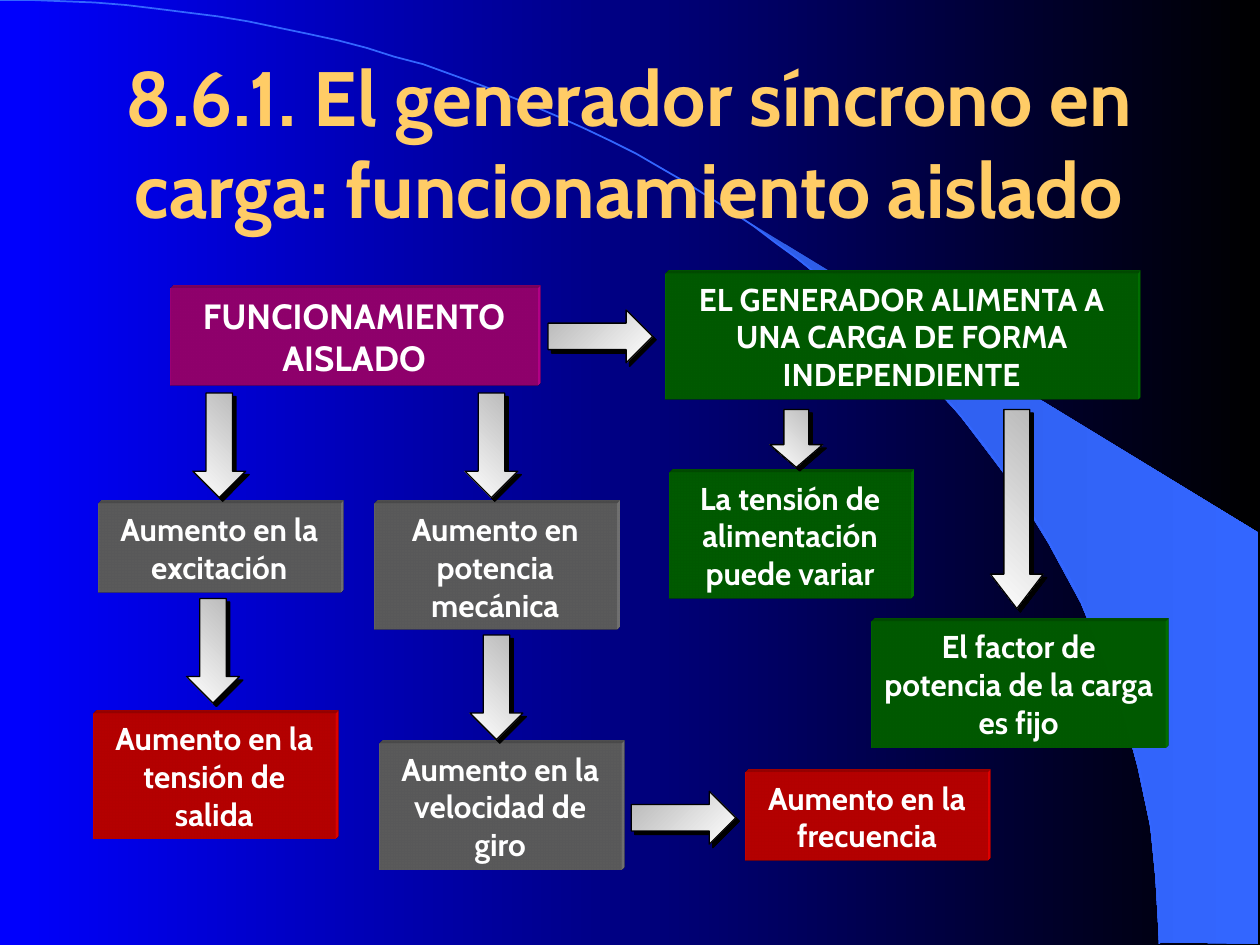
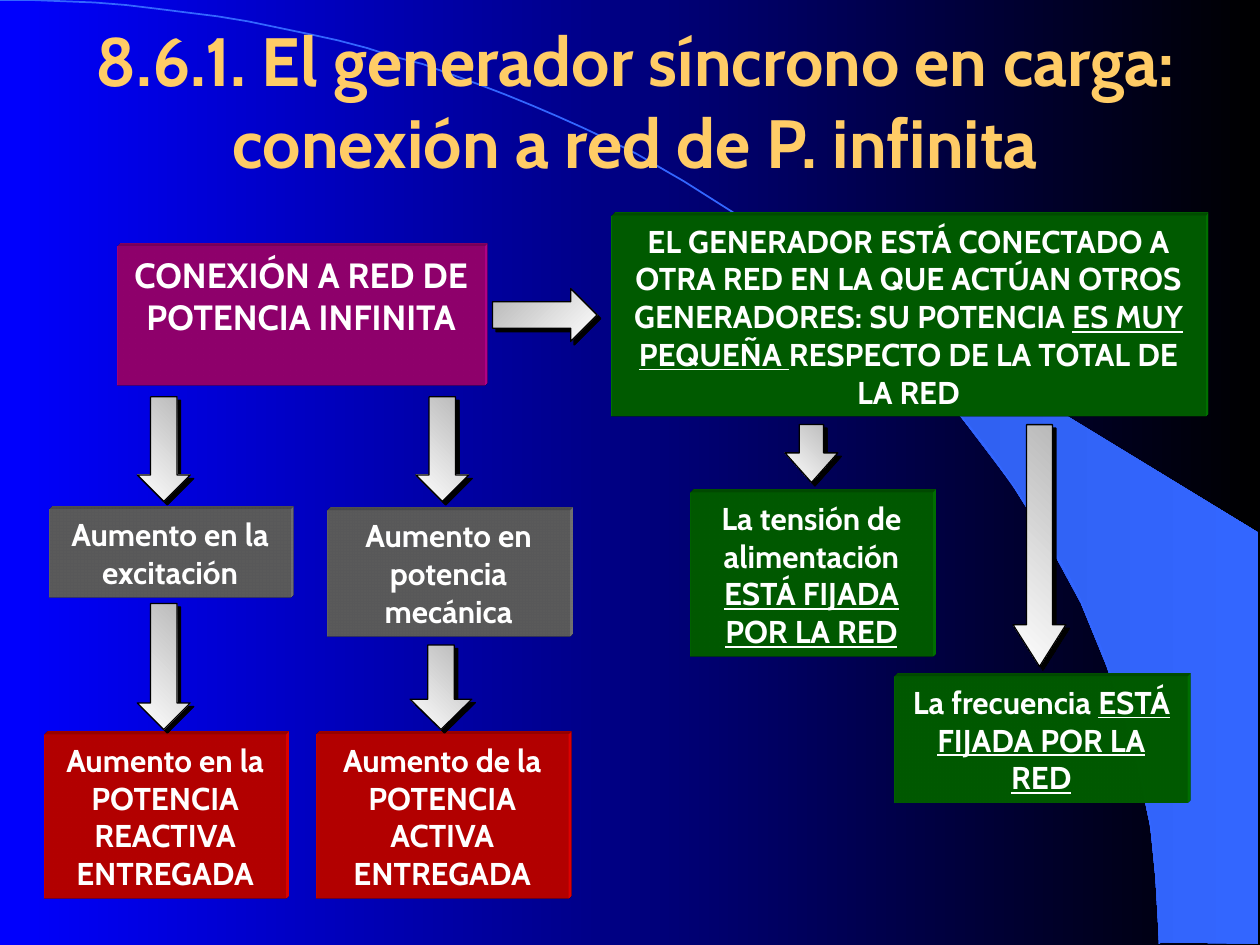
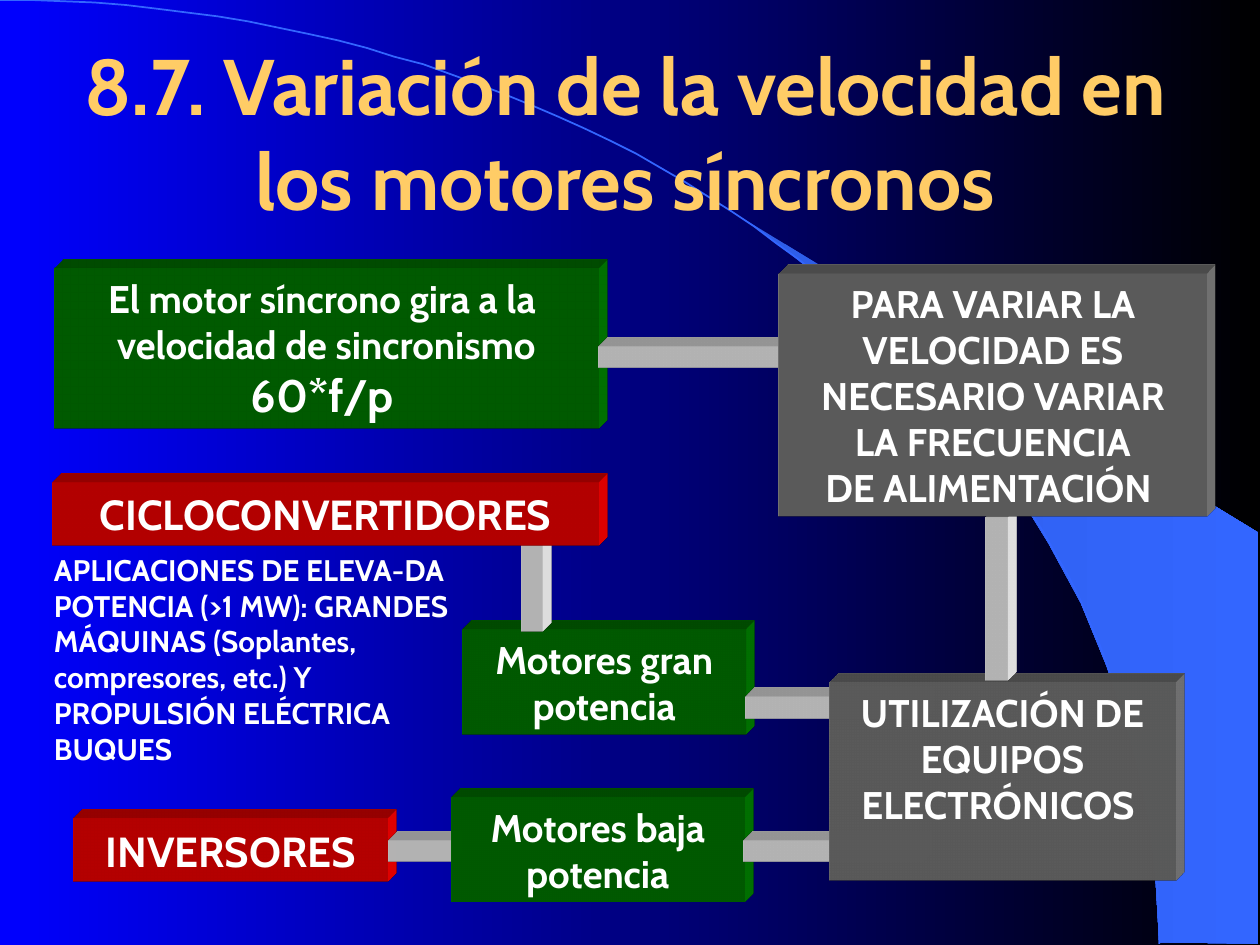
from dataclasses import dataclass

from lxml.etree import SubElement
from pptx import Presentation
from pptx.dml.color import RGBColor
from pptx.enum.shapes import MSO_SHAPE
from pptx.enum.text import MSO_ANCHOR, PP_ALIGN
from pptx.oxml import parse_xml
from pptx.oxml.ns import nsdecls, qn
from pptx.util import Pt

PX = 9144
WIDTH, HEIGHT = 1000, 750


@dataclass(frozen=True)
class Theme:
    """Colours, type sizes and depths shared by the slides."""
    font: str = "Cabin"
    title: str = "FFCC66"
    text: str = "FFFFFF"
    sky: tuple = ("0000FF", "000000")
    band: tuple = ("2E5DE7", "3366FF")
    metal: tuple = ("B6B6B6", "FFFFFF")
    outline: str = "000000"
    topic: str = "CC0099"
    premise: str = "008000"
    step: str = "808080"
    result: str = "FF0000"
    bar: str = "FFFFFF"
    body_size: int = 18
    topic_size: int = 20
    note_size: int = 17
    block_size: int = 22
    family_size: int = 24
    formula_size: int = 26
    thin: int = 61000
    thick: int = 184000


THEME = Theme()
UNDERLINED = {"underline": True}
BAND_EDGE = [(920, 748), (999, 749), (999, 423), (589, 173), (624, 199), (653, 222),
             (685, 250), (716, 280), (762, 330), (803, 384), (832, 431), (858, 479),
             (878, 528), (893, 572), (903, 609), (913, 656), (917, 696)]
ARC = [(0, 0), (508, 0), (920, 335), (920, 749)]
ARC_STEPS = 60


def rgb(colour):
    """Turn a hex string into a colour."""
    return RGBColor.from_string(colour)


def scaled(*lengths):
    """Turn px lengths into EMU."""
    return [round(length * PX) for length in lengths]


def apply(target, values):
    """Set each named attribute of the target."""
    for name, value in values.items():
        setattr(target, name, value)


def fill_gradient(fill, colours, angle=0):
    """Fill with a two-colour linear gradient."""
    fill.gradient()
    fill.gradient_angle = angle
    for stop, colour, position in zip(fill.gradient_stops, colours, (0, 1)):
        apply(stop, {"position": position})
        stop.color.rgb = rgb(colour)


def write(frame, paragraphs, size, colour=THEME.text, align=PP_ALIGN.CENTER, before=0):
    """Write paragraphs, each a string or a list of (text, format) runs."""
    for index, content in enumerate(paragraphs):
        paragraph = frame.paragraphs[0] if index == 0 else frame.add_paragraph()
        apply(paragraph, {"alignment": align, "space_before": Pt(before)})
        runs = [(content, {})] if isinstance(content, str) else content
        for text, changes in runs:
            run = paragraph.add_run()
            run.text = text
            apply(run.font, {"name": THEME.font, "size": Pt(size), "bold": True} | changes)
            run.font.color.rgb = rgb(colour)


def extrude(shape, colour, depth):
    """Give a shape an oblique depth towards the top right."""
    space = nsdecls("a")
    shape._element.spPr.append(parse_xml(
        f'<a:scene3d {space}><a:camera prst="legacyObliqueTopRight"/>'
        '<a:lightRig rig="legacyFlat3" dir="b"/></a:scene3d>'))
    shape._element.spPr.append(parse_xml(
        f'<a:sp3d {space} extrusionH="{depth}" prstMaterial="legacyMatte">'
        '<a:bevelT w="13500" h="13500" prst="angle"/>'
        '<a:bevelB w="13500" h="13500" prst="angle"/>'
        f'<a:extrusionClr><a:srgbClr val="{colour}"/></a:extrusionClr></a:sp3d>'))


def add_block(slide, place, colour, paragraphs=(), size=THEME.body_size,
              depth=THEME.thin, before=6, wrap=True):
    """Add an extruded box with centred text."""
    block = slide.shapes.add_shape(MSO_SHAPE.RECTANGLE, *scaled(*place))
    block.shadow.inherit = False
    block.fill.solid()
    block.fill.fore_color.rgb = rgb(colour)
    block.line.fill.background()
    extrude(block, colour, depth)
    apply(block.text_frame, {"word_wrap": wrap, "vertical_anchor": MSO_ANCHOR.TOP})
    write(block.text_frame, paragraphs, size, before=before)


def add_thick_block(slide, place, colour, paragraphs=(), size=THEME.block_size, wrap=True):
    """Add a deep box without paragraph spacing."""
    add_block(slide, place, colour, paragraphs, size, THEME.thick, 0, wrap)


def add_arrow(slide, x, y, length=83, breadth=42, proportions=(0.5, 0.5), down=True):
    """Add a metal arrow that starts centred on x, y."""
    left, top = (x - length / 2, y + (length - breadth) / 2) if down else (x, y - breadth / 2)
    arrow = slide.shapes.add_shape(MSO_SHAPE.RIGHT_ARROW, *scaled(left, top, length, breadth))
    arrow.rotation = 90 if down else 0
    for index, proportion in enumerate(proportions):
        arrow.adjustments[index] = proportion
    fill_gradient(arrow.fill, THEME.metal, 315)
    arrow.line.color.rgb = rgb(THEME.outline)
    arrow.line.width = Pt(0.75)
    arrow.shadow.inherit = False
    effects = arrow._element.spPr.find(qn("a:effectLst"))
    shadow = SubElement(effects, qn("a:outerShdw"), dist=str(Pt(2.8)), dir="2700000",
                        algn="ctr", rotWithShape="0")
    SubElement(shadow, qn("a:srgbClr"), val=THEME.outline)


def add_outline(slide, points, close):
    """Add a freeform through px points."""
    builder = slide.shapes.build_freeform(*points[0], scale=PX)
    builder.add_line_segments(points[1:], close=close)
    outline = builder.convert_to_shape()
    outline.shadow.inherit = False
    return outline


def arc_point(t):
    """Return the point of the arc at t from 0 to 1."""
    weights = ((1 - t) ** 3, 3 * t * (1 - t) ** 2, 3 * t ** 2 * (1 - t), t ** 3)
    return tuple(sum(w * p[axis] for w, p in zip(weights, ARC)) for axis in (0, 1))


def add_text(slide, place, paragraphs, size, anchor=MSO_ANCHOR.TOP, **style):
    """Add a wrapped text box."""
    frame = slide.shapes.add_textbox(*scaled(*place)).text_frame
    apply(frame, {"word_wrap": True, "vertical_anchor": anchor})
    write(frame, paragraphs, size, **style)


def start_slide(deck, title, place, size):
    """Add a slide with the shared backdrop and its title."""
    slide = deck.slides.add_slide(deck.slide_layouts[6])
    fill_gradient(slide.background.fill, THEME.sky)
    band = add_outline(slide, BAND_EDGE, True)
    fill_gradient(band.fill, THEME.band)
    band.line.fill.background()
    arc = add_outline(slide, [arc_point(i / ARC_STEPS) for i in range(ARC_STEPS + 1)], False)
    arc.fill.background()
    arc.line.color.rgb = rgb(THEME.band[1])
    arc.line.width = Pt(1)
    add_text(slide, place, [title], size, MSO_ANCHOR.MIDDLE, colour=THEME.title)
    return slide


def build_isolated(deck):
    """Build the slide on isolated operation."""
    slide = start_slide(deck, "8.6.1. El generador síncrono en carga: funcionamiento aislado",
                        (8, 50, 983, 125), 44)
    add_block(slide, (135, 229, 292, 77), THEME.topic, ["FUNCIONAMIENTO AISLADO"],
              THEME.topic_size)
    for place, colour, text in (
        ((528, 217, 375, 100), THEME.premise,
         "EL GENERADOR ALIMENTA A UNA CARGA DE FORMA INDEPENDIENTE"),
        ((531, 375, 192, 100), THEME.premise, "La tensión de alimentación puede variar"),
        ((692, 493, 233, 100), THEME.premise, "El factor de potencia de la carga es fijo"),
        ((78, 400, 192, 70), THEME.step, "Aumento en la excitación"),
        ((74, 566, 192, 100), THEME.result, "Aumento en la tensión de salida"),
        ((297, 400, 192, 100), THEME.step, "Aumento en potencia mecánica"),
        ((301, 590, 192, 100), THEME.step, "Aumento en la velocidad de giro"),
        ((592, 613, 192, 70), THEME.result, "Aumento en la frecuencia"),
    ):
        add_block(slide, place, colour, [text])
    for x, y in ((435, 267), (501, 649)):
        add_arrow(slide, x, y, down=False)
    for x, y in ((174, 312), (390, 312), (169, 475), (394, 504)):
        add_arrow(slide, x, y)
    add_arrow(slide, 807, 325, 158, proportions=(0.49, 0.65))
    add_arrow(slide, 632, 325, 46, proportions=(0.47, 0.43))


def build_grid(deck):
    """Build the slide on connection to an infinite grid."""
    slide = start_slide(deck, "8.6.1. El generador síncrono en carga: conexión a red de P. infinita",
                        (8, 17, 992, 125), 39)
    add_block(slide, (93, 196, 292, 110), THEME.topic, ["CONEXIÓN A RED DE POTENCIA INFINITA"],
              THEME.topic_size)
    fixed = ("ESTÁ FIJADA POR LA RED", UNDERLINED)
    for place, colour, content in (
        ((485, 171, 472, 160), THEME.premise,
         [("EL GENERADOR ESTÁ CONECTADO A OTRA RED EN LA QUE ACTÚAN OTROS GENERADORES: "
           "SU POTENCIA ", {}), ("ES MUY PEQUEÑA ", UNDERLINED),
          ("RESPECTO DE LA TOTAL DE LA RED", {})]),
        ((548, 391, 192, 130), THEME.premise, [("La tensión de alimentación ", {}), fixed]),
        ((710, 537, 233, 100), THEME.premise, [("La frecuencia ", {}), fixed]),
        ((39, 404, 192, 70), THEME.step, "Aumento en la excitación"),
        ((35, 583, 192, 130), THEME.result, "Aumento en la POTENCIA REACTIVA ENTREGADA"),
        ((260, 405, 192, 100), THEME.step, "Aumento en potencia mecánica"),
        ((251, 583, 200, 130), THEME.result, "Aumento de la POTENCIA ACTIVA ENTREGADA"),
    ):
        add_block(slide, place, colour, [content])
    add_arrow(slide, 391, 250, down=False)
    for x in (130, 351):
        add_arrow(slide, x, 315)
    add_arrow(slide, 825, 337, 192, proportions=(0.49, 0.79))
    add_arrow(slide, 644, 337, 46, proportions=(0.46, 0.56))
    add_arrow(slide, 130, 479, 100)
    add_arrow(slide, 350, 512, 67, 49, (0.43, 0.49))


def build_speed(deck):
    """Build the slide on speed control of synchronous motors."""
    slide = start_slide(deck, "8.7. Variación de la velocidad en los motores síncronos",
                        (17, 42, 958, 125), 45)
    add_thick_block(slide, (367, 500, 225, 83), THEME.premise, ["Motores gran potencia"])
    add_thick_block(slide, (58, 650, 250, 50), THEME.result, ["INVERSORES"], THEME.family_size)
    for place in ((592, 553, 142, 17), (414, 432, 17, 69)):
        add_thick_block(slide, place, THEME.bar)
    add_thick_block(slide, (42, 383, 433, 50), THEME.result, ["CICLOCONVERTIDORES"],
                    THEME.family_size)
    add_thick_block(slide, (308, 667, 51, 17), THEME.bar)
    add_thick_block(slide, (358, 633, 233, 83), THEME.premise, ["Motores baja potencia"])
    add_thick_block(slide, (590, 667, 142, 17), THEME.bar)
    add_thick_block(slide, (658, 542, 275, 157), THEME.step,
                    ["UTILIZACIÓN DE", "EQUIPOS ELECTRÓNICOS "])
    add_thick_block(slide, (782, 411, 18, 129), THEME.bar)
    add_thick_block(slide, (43, 213, 432, 127), THEME.premise,
                    ["El motor síncrono gira a la ", "velocidad de sincronismo",
                     [("60*f/p", {"size": Pt(THEME.formula_size)}), (" ", {})]], wrap=False)
    add_thick_block(slide, (475, 275, 142, 17), THEME.bar)
    add_thick_block(slide, (618, 217, 340, 193), THEME.step,
                    ["PARA VARIAR LA", "VELOCIDAD ES", "NECESARIO VARIAR",
                     "LA FRECUENCIA", "DE ALIMENTACIÓN "])
    add_text(slide, (33, 433, 333, 180),
             ["APLICACIONES DE ELEVA-DA POTENCIA (>1 MW): GRANDES MÁQUINAS (Soplantes, "
              "compresores, etc.) Y PROPULSIÓN ELÉCTRICA BUQUES"],
             THEME.note_size, align=PP_ALIGN.LEFT, before=6)


def main():
    """Build and save the deck."""
    deck = Presentation()
    apply(deck, {"slide_width": WIDTH * PX, "slide_height": HEIGHT * PX})
    for build in (build_isolated, build_grid, build_speed):
        build(deck)
    deck.save("out.pptx")


if __name__ == "__main__":
    main()
